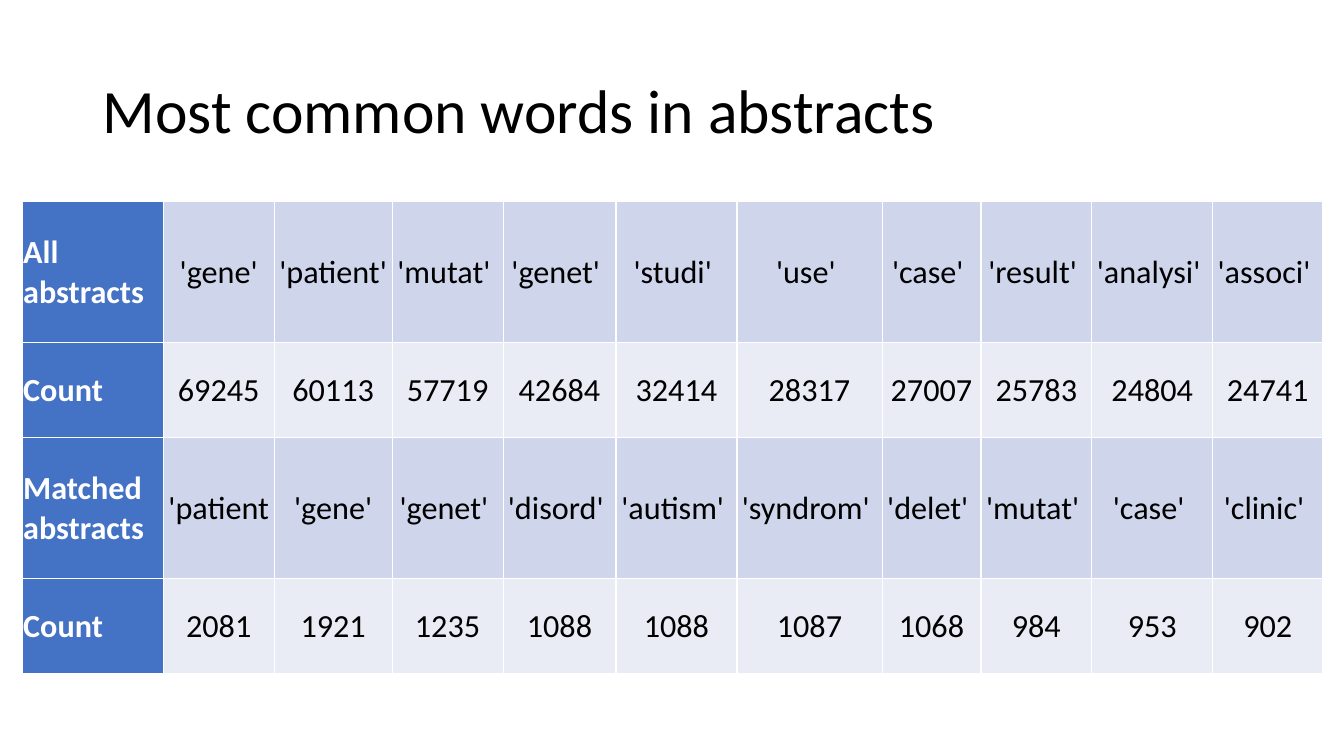
from lxml import etree
from pptx import Presentation
from pptx.dml.color import RGBColor
from pptx.enum.text import MSO_ANCHOR, PP_ALIGN
from pptx.oxml.ns import qn
from pptx.util import Inches, Pt

MIDDLE = MSO_ANCHOR.MIDDLE
LEFT, CENTER = PP_ALIGN.LEFT, PP_ALIGN.CENTER
BLUE, WHITE, BLACK = "4472C4", "FFFFFF", "000000"
BANDS = ["CFD5EA", "E9EBF5"]
WIDTHS = [1.4, 1.1, 1.17, 1.1, 1.12, 1.2, 1.44, 0.98, 1.1, 1.2, 1.09]
HEIGHTS = [1.4, 0.94, 1.4, 0.94]
ROWS = [
    ["All abstracts", "'gene'", "'patient'", "'mutat' ", "'genet' ", "'studi' ",
     "'use' ", "'case' ", "'result' ", "'analysi' ", "'associ' "],
    ["Count", "69245", "60113", "57719", "42684", "32414",
     "28317", "27007", "25783", "24804", "24741"],
    ["Matched abstracts", "'patient", "'gene'", "'genet' ", "'disord' ", "'autism' ",
     "'syndrom' ", "'delet' ", "'mutat' ", "'case' ", "'clinic' "],
    ["Count", "2081", "1921", "1235", "1088", "1088",
     "1087", "1068", "984", "953", "902"],
]


def add_run(para, text, size, color, bold=False):
    run = para.add_run()
    run.text = text
    run.font.name = "Calibri"
    run.font.size = Pt(size)
    run.font.bold = bold
    run.font.color.rgb = RGBColor.from_string(color)


def add_borders(cell, color):
    props = cell._tc.get_or_add_tcPr()
    for side in ("a:lnL", "a:lnR", "a:lnT", "a:lnB"):
        line = etree.SubElement(props, qn(side), w=str(Pt(1)))
        fill = etree.SubElement(line, qn("a:solidFill"))
        etree.SubElement(fill, qn("a:srgbClr"), val=color)


prs = Presentation()
prs.slide_width, prs.slide_height = Inches(13.33), Inches(7.5)
slide = prs.slides.add_slide(prs.slide_layouts[6])

# Title
title = slide.shapes.add_textbox(Inches(0.92), Inches(0.4), Inches(11.5), Inches(1.45))
frame = title.text_frame
frame.word_wrap = True
frame.vertical_anchor = MIDDLE
frame.paragraphs[0].line_spacing = 0.9
add_run(frame.paragraphs[0], "Most common words in abstracts", 44, BLACK)

# Word counts
table = slide.shapes.add_table(
    len(ROWS), len(WIDTHS), Inches(0.22), Inches(2),
    Inches(sum(WIDTHS)), Inches(sum(HEIGHTS))).table
table.first_row = False
table.first_col = True
for col, width in zip(table.columns, WIDTHS):
    col.width = Inches(width)
for r, (texts, height) in enumerate(zip(ROWS, HEIGHTS)):
    table.rows[r].height = Inches(height)
    for c, text in enumerate(texts):
        head = c == 0
        cell = table.cell(r, c)
        cell.vertical_anchor = MIDDLE
        cell.margin_left = cell.margin_right = cell.margin_top = Inches(0.01)
        cell.margin_bottom = 0
        add_borders(cell, WHITE)
        cell.fill.solid()
        cell.fill.fore_color.rgb = RGBColor.from_string(BLUE if head else BANDS[r % 2])
        para = cell.text_frame.paragraphs[0]
        para.alignment = LEFT if head else CENTER
        add_run(para, text, 23, WHITE if head else BLACK, head)

prs.save("out.pptx")
